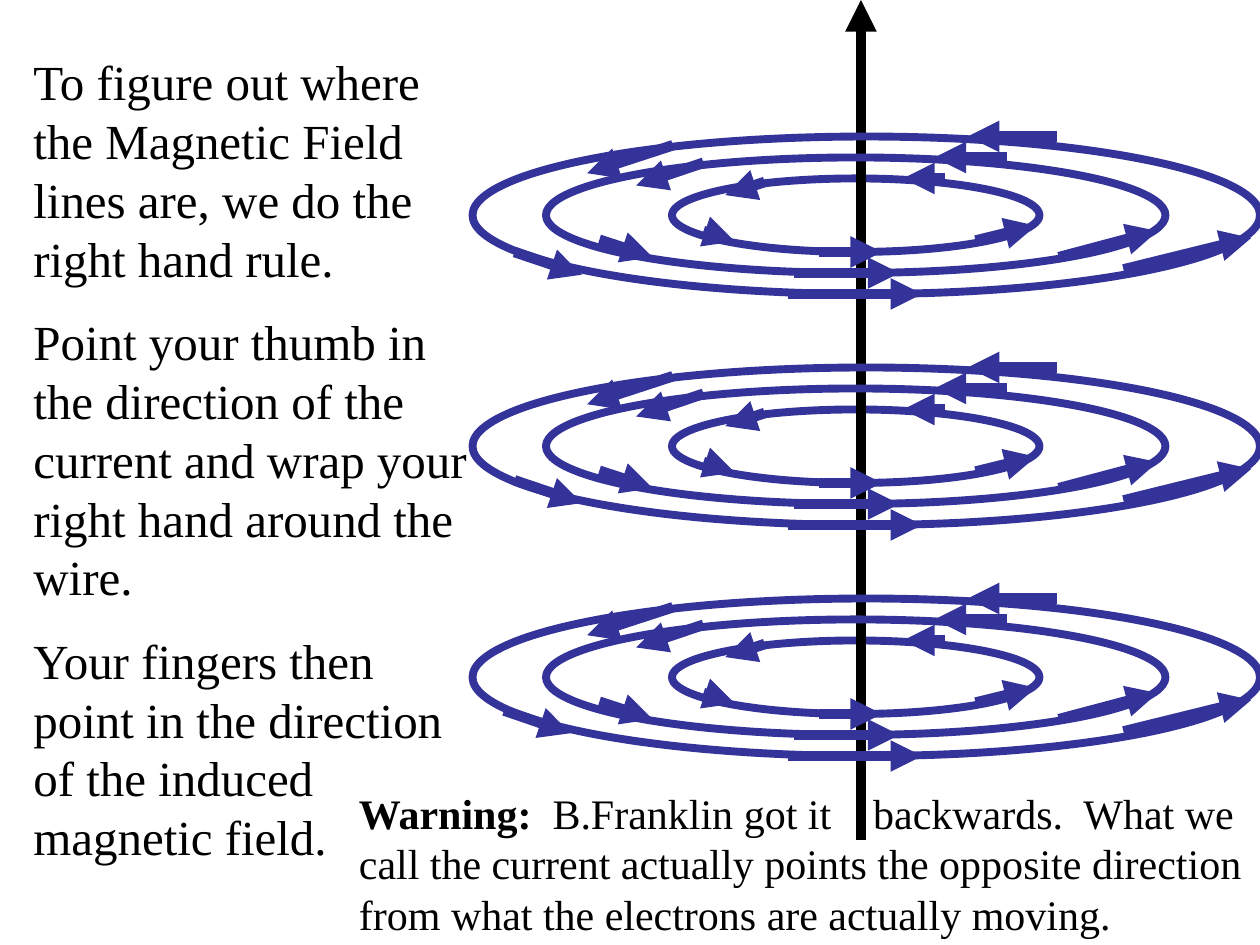
from dataclasses import dataclass

from pptx import Presentation
from pptx.dml.color import RGBColor as Rgb
from pptx.enum.shapes import MSO_CONNECTOR as Link, MSO_SHAPE as Kind
from pptx.enum.text import MSO_AUTO_SIZE as Fit
from pptx.oxml.ns import qn
from pptx.util import Pt
from lxml.etree import SubElement as Sub


@dataclass(frozen=True)
class Theme:
    """Colours, font, type sizes and line widths."""
    ink: Rgb = Rgb(0, 0, 0)
    field: Rgb = Rgb(0x33, 0x33, 0x99)
    font: str = "Times New Roman"
    body: float = 28
    note: float = 24
    thin: float = 4.5
    thick: float = 6


LOOK = Theme()
PITCH = 132
RINGS = [
    ((114, 24, 210, 42), [
        (198, 66, 234, 66), (287.5, 59.5, 322, 51), (270, 24, 246, 24),
        (167, 26, 144.5, 33.5), (132, 54, 150, 60)]),
    ((42, 12, 354, 66), [
        (183.5, 78, 244, 78), (335, 69, 391.5, 54), (305.5, 12, 264, 12),
        (132, 15, 93.5, 28), (72.5, 59, 103, 69)]),
    ((0, 0, 450, 90), [
        (180, 90, 257, 90), (372, 76, 445, 58), (334, 0, 283, 0),
        (114.5, 5, 65.5, 21)]),
]
ENTRY = [(24, 66, 62.5, 79), (24, 64.5, 62.5, 77.5), (18, 64, 56, 77)]
FRONT = [[(-42, -6), (18, 54)], [(-42, -6), (18, 54)], [(18, 54)]]
STEPS = [
    "To figure out where the Magnetic Field lines are, we do the right hand rule.",
    "Point your thumb in the direction of the current and wrap your right hand around the wire.",
    "Your fingers then point in the direction of the induced magnetic field.",
]
WARNING = [
    ("Warning:", True),
    ("  B.Franklin got it    backwards.  What we call the current actually points "
     "the opposite direction from what the electrons are actually moving.", False),
]


def put(obj, **vals):
    """Set each named attribute on an object."""
    for name, val in vals.items():
        setattr(obj, name, val)


def draw_line(shapes, box, ends, color, tip=True):
    """Draw a thick line, with an arrowhead at its end if tip is set."""
    left, top = box[:2]
    x1, y1, x2, y2 = ends
    line = shapes.add_connector(
        Link.STRAIGHT, Pt(left + x1), Pt(top + y1), Pt(left + x2), Pt(top + y2))
    line.line.color.rgb = color
    line.line.width = Pt(LOOK.thick)
    if tip:
        Sub(line.line._get_or_add_ln(), qn("a:tailEnd"), type="triangle")
    Sub(line._element.spPr, qn("a:effectLst"))


def draw_ring(shapes, box, size):
    """Draw one unfilled field ring."""
    left, top = box[:2]
    x, y, wide, high = size
    ring = shapes.add_shape(
        Kind.OVAL, Pt(left + x), Pt(top + y), Pt(wide), Pt(high))
    ring.shadow.inherit = False
    ring.fill.background()
    ring.line.color.rgb = LOOK.field
    ring.line.width = Pt(LOOK.thin)


def draw_set(shapes, box, entry, front):
    """Draw three rings with arrows, and the wire parts before them."""
    mid = box[2] / 2
    for rank, (size, arrows) in enumerate(RINGS):
        if rank == 1:
            for start, end in front:
                draw_line(shapes, box, (mid - 3, end, mid - 3, start), LOOK.ink, False)
        draw_ring(shapes, box, size)
        for ends in arrows + ([entry] if rank == 2 else []):
            draw_line(shapes, box, ends, LOOK.field)


def draw_field(slide, box):
    """Draw the wire and the ring sets around it, lowest set first."""
    left, top, wide, high = box
    shapes = slide.shapes.add_group_shape().shapes
    mid = wide / 2 - 3
    draw_line(shapes, box, (mid, high, mid, 0), LOOK.ink)
    draw_line(shapes, box, (mid, 168, mid, 132), LOOK.ink, False)
    for rank in reversed(range(len(ENTRY))):
        area = (left, top + 78 + rank * PITCH, wide, 90)
        draw_set(shapes, area, ENTRY[rank], FRONT[rank])


def add_text(slide, box, paras, size):
    """Place a wrapped text box of paragraphs made of (text, bold) runs."""
    frame = slide.shapes.add_textbox(*map(Pt, box)).text_frame
    put(frame, word_wrap=True, auto_size=Fit.SHAPE_TO_FIT_TEXT)
    for rank, runs in enumerate(paras):
        para = frame.add_paragraph() if rank else frame.paragraphs[0]
        para.space_before = Pt(size / 2)
        for text, bold in runs:
            run = para.add_run()
            run.text = text
            put(run.font, name=LOOK.font, size=Pt(size), bold=bold)
            run.font.color.rgb = LOOK.ink


def main():
    """Build and save the slide."""
    deck = Presentation()
    put(deck, slide_width=Pt(720), slide_height=Pt(540))
    slide = deck.slides.add_slide(deck.slide_layouts[6])
    draw_field(slide, (270, 0, 450, 480))
    add_text(slide, (12, 26, 264, 478), [[(step, False)] for step in STEPS], LOOK.body)
    add_text(slide, (198, 446.5, 552, 93.5), [WARNING], LOOK.note)
    deck.save("out.pptx")


if __name__ == "__main__":
    main()
